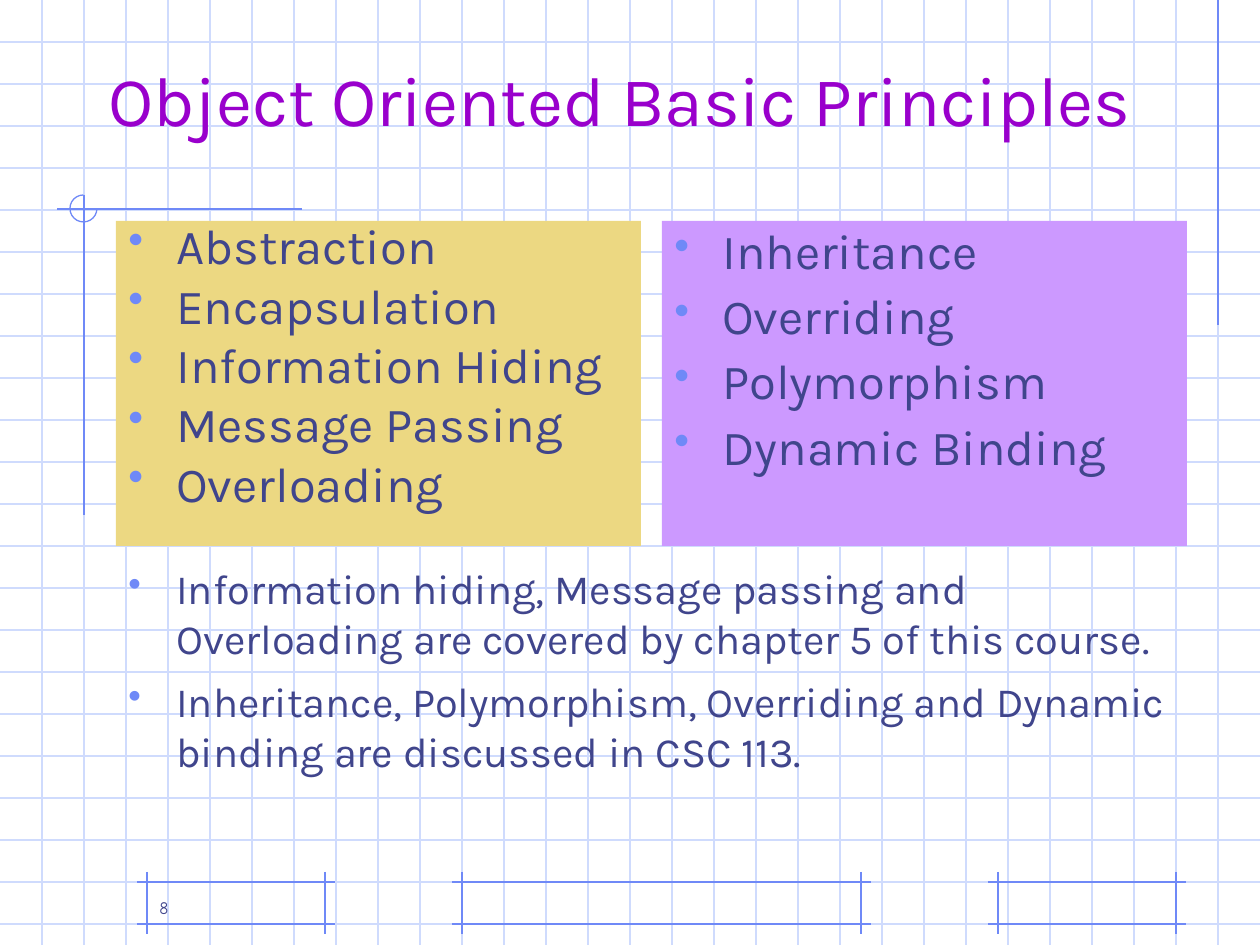
from dataclasses import dataclass

import lxml.etree
import pptx
import pptx.dml.color
import pptx.enum.shapes
import pptx.enum.text
import pptx.oxml.ns
import pptx.util

W, H = 1260, 945  # slide size in px
EMU_PER_PX = 914400 / 126
GRID = 42
COLORS = {
    "grid": "CFDBFD",
    "accent": "6F89F7",
    "title": "9900CC",
    "text": "40458C",
    "yellow": "ECD882",
    "purple": "CC99FF",
}
SHAPE = pptx.enum.shapes.MSO_SHAPE
ALIGN = pptx.enum.text.PP_ALIGN
ANCHOR = pptx.enum.text.MSO_ANCHOR


@dataclass
class Frame:
    left: int
    right: int
    top: int = 882
    bottom: int = 924
    overhang: int = 10


@dataclass
class Bullets:
    box: tuple[int, int, int, int]
    items: list[str]
    size: float
    spacing: float
    fill: str | None = None


FRAMES = [Frame(462, 861), Frame(998, 1176), Frame(147, 325)]
BULLETS = [
    Bullets((116, 221, 525, 325),
            ["Abstraction", "Encapsulation", "Information Hiding",
             "Message Passing", "Overloading"], 28, 0.8, "yellow"),
    Bullets((662, 221, 525, 325),
            ["Inheritance", "Overriding", "Polymorphism", "Dynamic Binding"],
            28, 0.9, "purple"),
    Bullets((116, 557, 1071, 294),
            ["Information hiding, Message passing and Overloading are covered "
             "by chapter 5 of this course.",
             "Inheritance, Polymorphism, Overriding and Dynamic binding are "
             "discussed in CSC 113."], 23.8, 1.0),
]


def px(n: int) -> int:
    return round(n * EMU_PER_PX)


def rgb(name: str) -> pptx.dml.color.RGBColor:
    return pptx.dml.color.RGBColor.from_string(COLORS[name])


def add_line(s, x1: int, y1: int, x2: int, y2: int, color: str = "accent") -> None:
    sp = s.shapes.add_connector(pptx.enum.shapes.MSO_CONNECTOR.STRAIGHT,
                                px(x1), px(y1), px(x2), px(y2))
    sp.line.color.rgb = rgb(color)
    sp.line.width = pptx.util.Pt(0.75)
    lxml.etree.SubElement(sp._element.spPr, pptx.oxml.ns.qn("a:effectLst"))


def add_frame(s, f: Frame) -> None:
    for y in (f.top, f.bottom):
        add_line(s, f.left - f.overhang, y, f.right + f.overhang, y)
    for x in (f.left, f.right):
        add_line(s, x, f.top - f.overhang, x, f.bottom + f.overhang)


def style_run(p, size: float, color: str, font: str = "Karla") -> None:
    for r in p.runs:
        r.font.size = pptx.util.Pt(size)
        r.font.name = font
        r.font.color.rgb = rgb(color)


def add_text(s, box: tuple[int, int, int, int], text: str, size: float,
             color: str, font: str, align) -> None:
    tf = s.shapes.add_textbox(*map(px, box)).text_frame
    tf.word_wrap = True
    tf.vertical_anchor = ANCHOR.BOTTOM
    tf.text = text
    tf.paragraphs[0].alignment = align
    style_run(tf.paragraphs[0], size, color, font)


def add_bullet(p) -> None:
    pPr = p._p.get_or_add_pPr()
    pPr.set("marL", str(px(48)))
    pPr.set("indent", str(-px(48)))
    qn = pptx.oxml.ns.qn
    clr = lxml.etree.SubElement(pPr, qn("a:buClr"))
    lxml.etree.SubElement(clr, qn("a:srgbClr"), val=COLORS["accent"])
    lxml.etree.SubElement(pPr, qn("a:buSzPct"), val="90000")
    lxml.etree.SubElement(pPr, qn("a:buChar"), char="•")


def add_bullets(s, b: Bullets) -> None:
    if b.fill:
        sp = s.shapes.add_shape(SHAPE.RECTANGLE, *map(px, b.box))
        sp.shadow.inherit = False
        sp.fill.solid()
        sp.fill.fore_color.rgb = rgb(b.fill)
        sp.line.fill.background()
    else:
        sp = s.shapes.add_textbox(*map(px, b.box))
    tf = sp.text_frame
    tf.word_wrap = True
    tf.vertical_anchor = ANCHOR.TOP
    tf.text = "\n".join(b.items)
    for i, p in enumerate(tf.paragraphs):
        add_bullet(p)
        p.alignment = ALIGN.LEFT
        p.line_spacing = b.spacing
        p.space_before = pptx.util.Pt(7 if i else 0)
        style_run(p, b.size, "text")


def main() -> None:
    prs = pptx.Presentation()
    prs.slide_width, prs.slide_height = px(W), px(H)
    s = prs.slides.add_slide(prs.slide_layouts[6])

    # Graph paper
    for y in range(GRID, H, GRID):
        add_line(s, 0, y, W, y, "grid")
    for x in range(GRID, W, GRID):
        add_line(s, x, 0, x, H, "grid")

    # Footer frames and drafting lines
    for f in FRAMES:
        add_frame(s, f)
    add_line(s, 1218, 0, 1218, 325)
    add_line(s, 302, 209, 57, 209)
    add_line(s, 84, 195, 84, 515)

    # Three-quarter circle where the drafting lines cross
    sp = s.shapes.add_shape(SHAPE.ARC, px(70), px(195), px(27), px(27))
    sp.shadow.inherit = False
    sp.adjustments[0] = 0
    sp.adjustments[1] = 162  # 270 degrees
    sp.fill.background()
    sp.line.color.rgb = rgb("accent")
    sp.line.width = pptx.util.Pt(0.75)

    # Title, lists and page number
    add_text(s, (84, 21, 1071, 126), "Object Oriented Basic Principles",
             40, "title", "Karla", ALIGN.CENTER)
    for b in BULLETS:
        add_bullets(s, b)
    add_text(s, (147, 861, 262, 63), "8", 10, "text", "Comic Neue", ALIGN.LEFT)

    prs.save("out.pptx")


if __name__ == "__main__":
    main()
